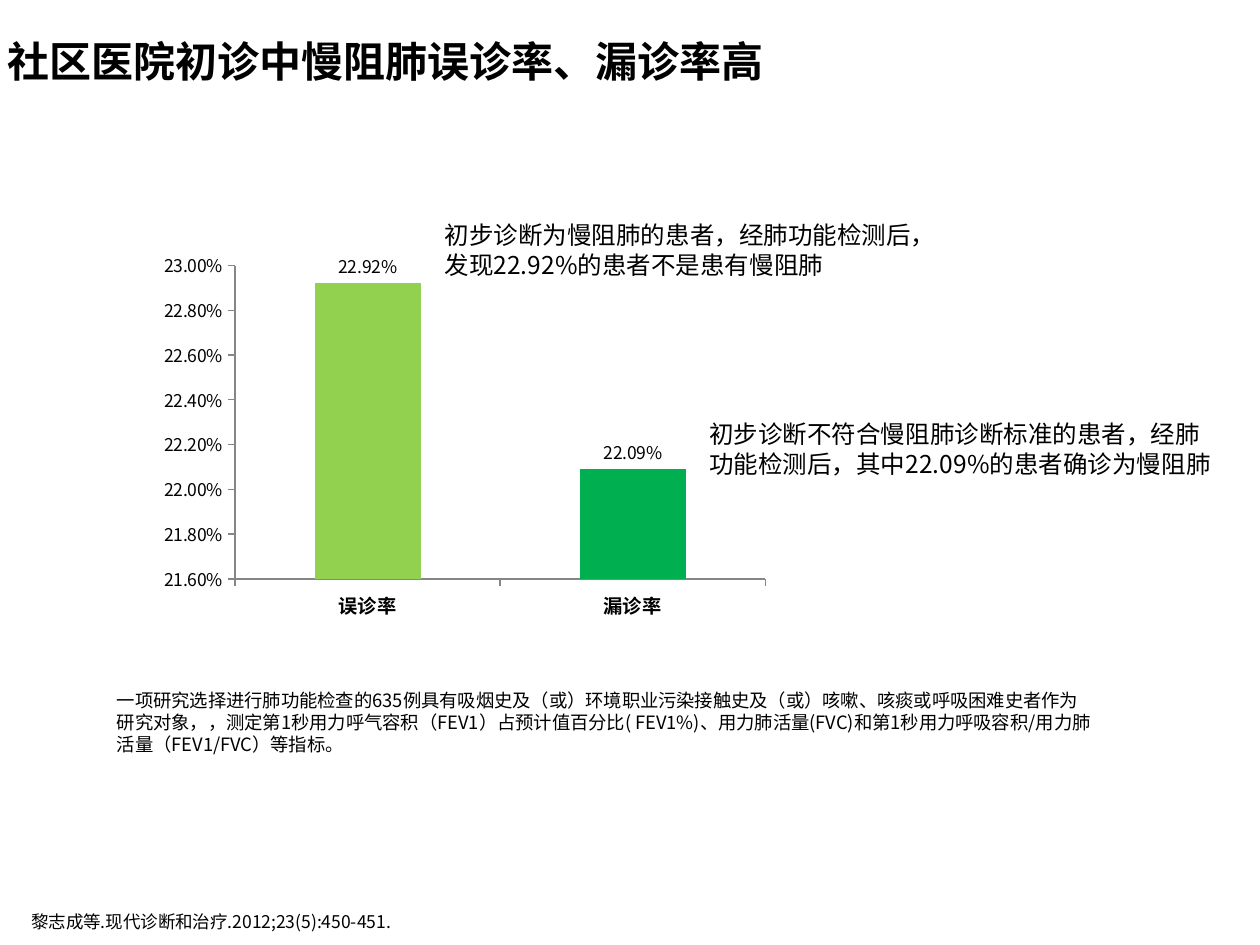
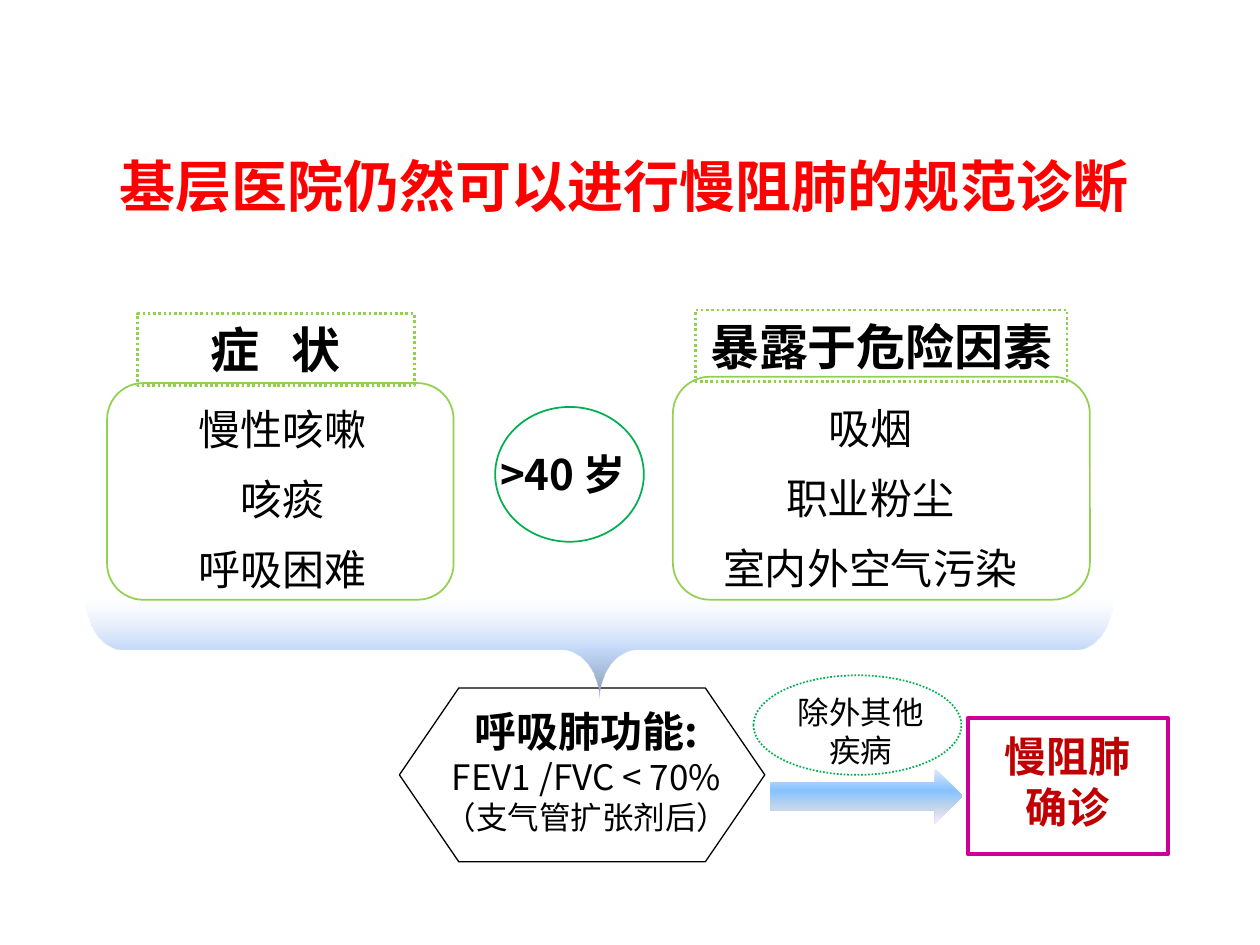
import pptx
import pptx.chart.data
import pptx.dml.color
import pptx.enum.chart
import pptx.enum.shapes
import pptx.enum.text
import pptx.oxml
import pptx.oxml.ns
import pptx.util
from lxml import etree

Inches = pptx.util.Inches
Pt = pptx.util.Pt
Shape = pptx.enum.shapes.MSO_SHAPE
Align = pptx.enum.text.PP_ALIGN
qn = pptx.oxml.ns.qn

FONT = "Noto Sans CJK SC"
COLOURS = {
    "black": "000000",
    "white": "FFFFFF",
    "red": "FF0000",
    "dark red": "C00000",
    "magenta": "CC0099",
    "light green": "92D050",
    "green": "00B050",
    "axis": "868686",
}
BRACE_STOPS = [(0, "8497B0", 100), (50, "C2D8F8", 100), (100, "E1EBFB", 0)]
ARROW_STOPS = [(0, "DEEBF7", 100), (40, "85C2FF", 100),
               (70, "C4D6EB", 100), (100, "FFEBFA", 100)]


def colour(name):
    return pptx.dml.color.RGBColor.from_string(COLOURS[name])


def set_font(font, size, bold=False, color="black"):
    font.name = FONT
    font.size = Pt(size)
    font.bold = bold
    font.color.rgb = colour(color)


def write(frame, text, size=14, bold=False, color="black", align=Align.LEFT,
          line_spacing=None, tracking=None):
    """Fill a frame; text is a string or a list of strings and (string, size, bold)."""
    frame.word_wrap = True
    frame.auto_size = pptx.enum.text.MSO_AUTO_SIZE.NONE
    frame.vertical_anchor = pptx.enum.text.MSO_ANCHOR.TOP
    lines = [text] if isinstance(text, str) else text
    for index, line in enumerate(lines):
        words, line_size, line_bold = (line, size, bold) if isinstance(line, str) else line
        para = frame.add_paragraph() if index else frame.paragraphs[0]
        para.alignment = align
        if line_spacing:
            para.line_spacing = line_spacing
        span = para.add_run()
        span.text = words
        set_font(span.font, line_size, line_bold, color)
        properties = span.font._element
        etree.SubElement(properties, qn("a:ea")).set("typeface", FONT)
        if tracking:
            properties.set("spc", str(tracking * 100))


def apply_gradient(shape, stops, angle):
    """Give a shape a linear gradient of (position, hex, opacity) stops."""
    shape.fill.gradient()
    gradient = shape._element.spPr.find(qn("a:gradFill"))
    for child in list(gradient):
        gradient.remove(child)
    stop_list = etree.SubElement(gradient, qn("a:gsLst"))
    for position, value, opacity in stops:
        stop = etree.SubElement(stop_list, qn("a:gs"), pos=str(position * 1000))
        tint = etree.SubElement(stop, qn("a:srgbClr"), val=value)
        if opacity < 100:
            etree.SubElement(tint, qn("a:alpha"), val=str(opacity * 1000))
    etree.SubElement(gradient, qn("a:lin"), ang=str(angle * 60000), scaled="0")


def place_plot(chart, x, y, width, height):
    """Fix the inner plot area as fractions of the chart."""
    area = chart._chartSpace.chart.plotArea
    for old in area.findall(qn("c:layout")):
        area.remove(old)
    layout = etree.Element(qn("c:layout"))
    manual = etree.SubElement(layout, qn("c:manualLayout"))
    settings = [("layoutTarget", "inner"), ("xMode", "edge"), ("yMode", "edge"),
                ("x", x), ("y", y), ("w", width), ("h", height)]
    for tag, value in settings:
        etree.SubElement(manual, qn("c:" + tag), val=str(value))
    area.insert(0, layout)


class Deck:
    def __init__(self):
        self.presentation = pptx.Presentation()
        self.presentation.slide_width = Inches(10)
        self.presentation.slide_height = Inches(7.5)
        self.slide = None

    def add_slide(self, title, left, top, width, height, **style):
        self.slide = self.presentation.slides.add_slide(
            self.presentation.slide_layouts[5])
        box = self.slide.shapes.title
        box.left, box.top = Inches(left), Inches(top)
        box.width, box.height = Inches(width), Inches(height)
        write(box.text_frame, title, bold=True, **style)

    def text(self, text, left, top, width, height, **style):
        box = self.slide.shapes.add_textbox(
            Inches(left), Inches(top), Inches(width), Inches(height))
        write(box.text_frame, text, **style)

    def shape(self, kind, left, top, width, height, line=None, weight=1,
              dotted=False, fill=None, adjustments=()):
        shape = self.slide.shapes.add_shape(
            kind, Inches(left), Inches(top), Inches(width), Inches(height))
        shape.shadow.inherit = False
        if fill:
            shape.fill.solid()
            shape.fill.fore_color.rgb = colour(fill)
        else:
            shape.fill.background()
        if line:
            shape.line.color.rgb = colour(line)
            shape.line.width = Pt(weight)
        else:
            shape.line.fill.background()
        if dotted:
            shape.line.dash_style = pptx.enum.dml.MSO_LINE.ROUND_DOT
        for index, value in enumerate(adjustments):
            shape.adjustments[index] = value
        return shape

    def criteria(self, heading, items, panel, list_area, heading_area, tracking=None):
        """Rounded panel with a centred list, and a dotted heading on top."""
        self.shape(Shape.ROUNDED_RECTANGLE, *panel, line="light green", fill="white")
        self.text(items, *list_area, size=24, align=Align.CENTER, line_spacing=Pt(40))
        label = self.shape(Shape.RECTANGLE, *heading_area, line="light green",
                           weight=1.5, dotted=True)
        write(label.text_frame, heading, size=28, bold=True, align=Align.CENTER,
              tracking=tracking)

    def column_chart(self, categories, values, point_colours, left, top, width, height):
        data = pptx.chart.data.CategoryChartData(number_format="0.00%")
        data.categories = categories
        data.add_series("Series 1", values)
        chart = self.slide.shapes.add_chart(
            pptx.enum.chart.XL_CHART_TYPE.COLUMN_CLUSTERED,
            Inches(left), Inches(top), Inches(width), Inches(height), data).chart
        chart.has_legend = False
        chart.has_title = False
        set_font(chart.font, 10)
        chart.font.name = "Arial"
        place_plot(chart, 0.129, 0.056, 0.842, 0.829)

        for axis, size, bold in ((chart.category_axis, 11, True),
                                 (chart.value_axis, 10, False)):
            set_font(axis.tick_labels.font, size, bold)
            axis.major_tick_mark = pptx.enum.chart.XL_TICK_MARK.OUTSIDE
            axis.has_major_gridlines = False
            axis.format.line.color.rgb = colour("axis")
        scale = chart.value_axis
        scale.minimum_scale, scale.maximum_scale, scale.major_unit = 0.216, 0.23, 0.002
        scale.tick_labels.number_format = "0.00%"
        scale.tick_labels.number_format_is_linked = False

        plot = chart.plots[0]
        plot.gap_width = 150
        plot.vary_by_categories = False
        series = plot.series[0]
        series.format.fill.solid()
        series.format.fill.fore_color.rgb = colour(point_colours[0])
        for index, name in enumerate(point_colours[1:], start=1):
            fill = series.points[index].format.fill
            fill.solid()
            fill.fore_color.rgb = colour(name)
        labels = series.data_labels
        labels.show_value = True
        labels.position = pptx.enum.chart.XL_LABEL_POSITION.OUTSIDE_END
        labels.number_format = "0.00%"
        labels.number_format_is_linked = False
        set_font(labels.font, 10)


def build_rates_slide(deck):
    deck.add_slide("社区医院初诊中慢阻肺误诊率、漏诊率高", -0.04, 0.28, 9.65, 0.63,
                   size=24, line_spacing=0.9)
    deck.column_chart(["误诊率", "漏诊率"], [0.2292, 0.2209],
                      ["light green", "green"], 1.22, 1.94, 5, 3)
    deck.text("一项研究选择进行肺功能检查的635例具有吸烟史及（或）环境职业污染接触史及（或）"
              "咳嗽、咳痰或呼吸困难史者作为研究对象，，测定第1秒用力呼气容积（FEV1）"
              "占预计值百分比( FEV1%)、用力肺活量(FVC)和第1秒用力呼吸容积/用力肺活量"
              "（FEV1/FVC）等指标。", 0.83, 5.42, 7.95, 0.63, size=10.5)
    deck.text("初步诊断为慢阻肺的患者，经肺功能检测后，发现22.92%的患者不是患有慢阻肺",
              3.43, 1.7, 4.21, 0.81)
    deck.text("初步诊断不符合慢阻肺诊断标准的患者，经肺功能检测后，其中22.09%的患者确诊为慢阻肺",
              5.53, 3.28, 4.21, 0.88)
    deck.text("黎志成等.现代诊断和治疗.2012;23(5):450-451.", 0.15, 7.18, 7.5, 0.27, size=10)


def build_diagnosis_slide(deck):
    deck.add_slide("基层医院仍然可以进行慢阻肺的规范诊断", 0.85, 1.15, 8.28, 0.64,
                   size=32, color="red")
    deck.text([("呼吸肺功能:", 24, True), ("FEV1 /FVC < 70%", 20, False),
               ("（支气管扩张剂后）", 18, False)],
              3.24, 5.55, 2.83, 1.18, align=Align.CENTER)
    deck.shape(Shape.HEXAGON, 3.17, 5.46, 2.9, 1.38, line="black", weight=0.75,
               adjustments=(0.342, 1.155))
    deck.text(["慢阻肺", "确诊"], 7.64, 5.75, 1.66, 0.91, size=24, bold=True,
              color="dark red", align=Align.CENTER)
    deck.shape(Shape.RECTANGLE, 7.68, 5.7, 1.59, 1.08, line="magenta", weight=2.25)

    deck.criteria("症 状", ["慢性咳嗽", "咳痰", "呼吸困难"],
                  (0.85, 3.04, 2.75, 1.72), (1.14, 3, 2.2, 1.78),
                  (1.09, 2.49, 2.2, 0.57), tracking=6)
    deck.criteria("暴露于危险因素", ["吸烟", "职业粉尘", "室内外空气污染"],
                  (5.34, 2.99, 3.31, 1.77), (5.32, 2.99, 3.17, 1.78),
                  (5.52, 2.46, 2.95, 0.57))

    brace = deck.shape(Shape.LEFT_BRACE, 4.36, 1.09, 0.8, 8.14, adjustments=(0.371, 0.5))
    brace.rotation = 270
    apply_gradient(brace, BRACE_STOPS, 0)
    arrow = deck.shape(Shape.RIGHT_ARROW, 6.11, 6.1, 1.53, 0.44)
    apply_gradient(arrow, ARROW_STOPS, 90)

    deck.text(">40 岁", 3.87, 3.51, 1.31, 0.51, size=24, bold=True)
    deck.shape(Shape.OVAL, 3.93, 3.23, 1.18, 1.07, line="green")
    deck.shape(Shape.OVAL, 5.98, 5.36, 1.65, 0.79, line="green", dotted=True)
    deck.text("除外其他疾病", 6.22, 5.45, 1.22, 0.71, size=18, align=Align.CENTER)


def main():
    deck = Deck()
    build_rates_slide(deck)
    build_diagnosis_slide(deck)
    deck.presentation.save("out.pptx")


if __name__ == "__main__":
    main()
